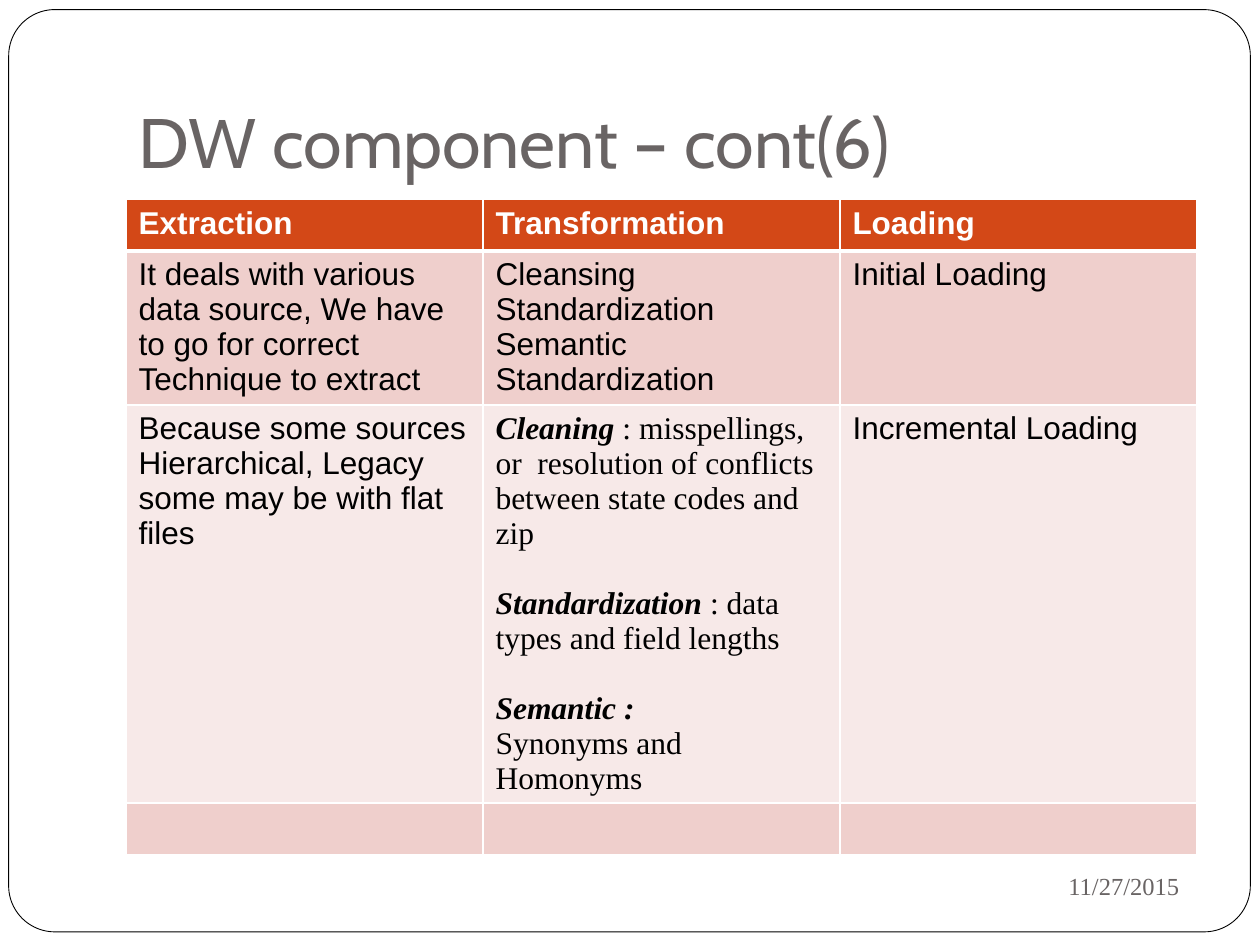
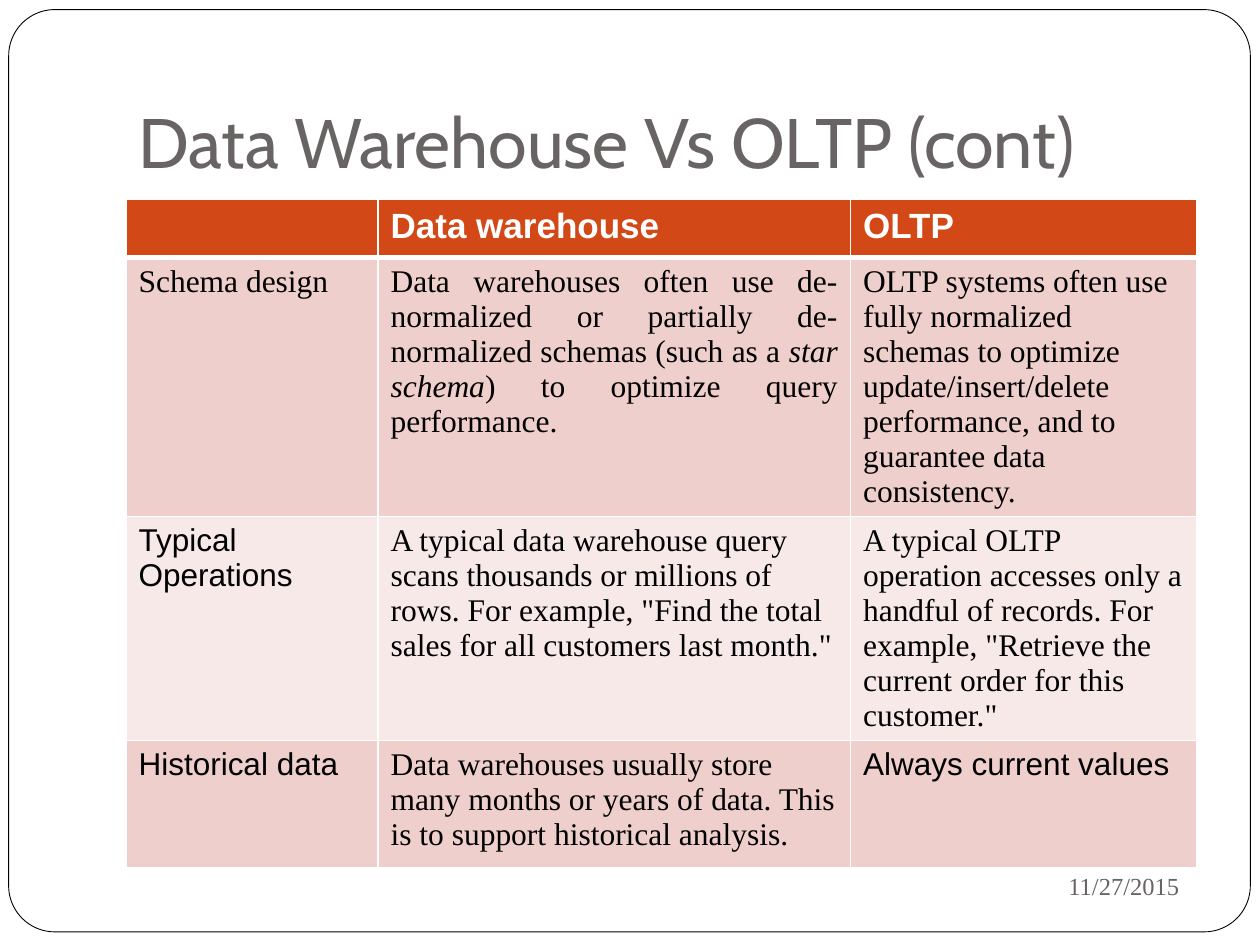
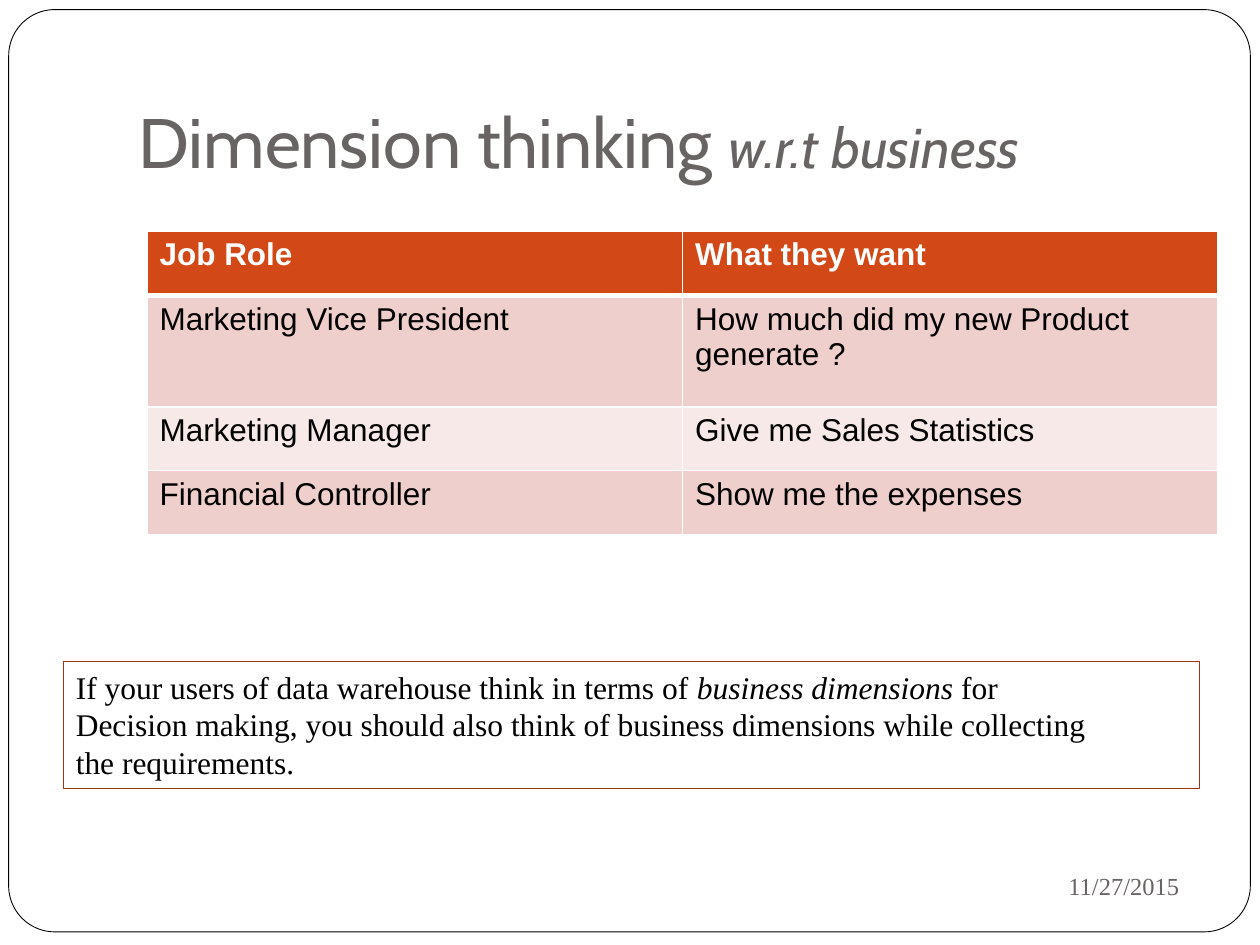
from dataclasses import dataclass

from lxml.etree import SubElement
from pptx import Presentation
from pptx.dml.color import RGBColor
from pptx.enum.shapes import MSO_SHAPE
from pptx.enum.text import MSO_ANCHOR, MSO_AUTO_SIZE, PP_ALIGN
from pptx.oxml.ns import qn
from pptx.util import Pt

SANS, SERIF, TITLE_FONT = "Arial", "Times New Roman", "Cabin"
BLACK, WHITE, GREY = "000000", "FFFFFF", "696464"
ORANGE, BROWN = "D34817", "9E3611"
BANDS = ["EFCFCC", "F7E9E8"]
LINE_HEIGHT = 20

FRAME_BOX = (5, 5.5, 709.5, 527)
TITLE_BOX = (72, 21.6, 612, 90)
DATE_BOX = (486, 487.5, 195, 37.5)


@dataclass
class Run:
    """A piece of text with its emphasis and, if it differs, its size."""
    text: str
    bold: bool = False
    italic: bool = False
    size: float = 0


@dataclass
class Cell:
    """A table cell: paragraphs of runs, font, alignment and spaced paragraphs."""
    paras: list
    font: str = SANS
    align: PP_ALIGN = PP_ALIGN.LEFT
    spaced: tuple = ()


def rgb(value):
    """Turn a hex string into a colour."""
    return RGBColor.from_string(value)


def points(box):
    """Turn a box of numbers into lengths."""
    return [Pt(v) for v in box]


def write(tf, paras, font, size, color, align=PP_ALIGN.LEFT, bold=False):
    """Fill a text frame; a paragraph is a string or a list of runs."""
    for i, para in enumerate(paras):
        p = tf.add_paragraph() if i else tf.paragraphs[0]
        p.alignment = align
        for part in [Run(para, bold)] if isinstance(para, str) else para:
            r = p.add_run()
            r.text = part.text
            r.font.name = font
            r.font.size = Pt(part.size or size)
            r.font.bold = part.bold
            r.font.italic = part.italic
            r.font.color.rgb = rgb(color)


def add_frame(prs, s):
    """Put the rounded page frame at the back of the master."""
    sp = s.shapes.add_shape(MSO_SHAPE.ROUNDED_RECTANGLE, *points(FRAME_BOX))
    sp.adjustments[0] = 0.05
    sp.shadow.inherit = False
    sp.fill.solid()
    sp.fill.fore_color.rgb = rgb(WHITE)
    sp.line.color.rgb = rgb(BLACK)
    sp.line.width = Pt(0.5)
    prs.slide_master.shapes._spTree.insert(2, sp._element)


def add_title(s, runs):
    """Place and format the title placeholder."""
    sp = s.shapes.title
    sp.left, sp.top, sp.width, sp.height = points(TITLE_BOX)
    tf = sp.text_frame
    tf.auto_size = MSO_AUTO_SIZE.NONE
    tf.vertical_anchor = MSO_ANCHOR.BOTTOM
    tf.margin_bottom = Pt(7.2)
    write(tf, [runs], TITLE_FONT, 40, GREY)


def add_date(s):
    """Write the date at the bottom right."""
    tf = s.shapes.add_textbox(*points(DATE_BOX)).text_frame
    tf.word_wrap = True
    tf.vertical_anchor = MSO_ANCHOR.MIDDLE
    write(tf, ["11/27/2015"], SERIF, 14, GREY, PP_ALIGN.RIGHT)


def set_borders(cell, bottom):
    """Draw white borders around a cell."""
    tc_pr = cell._tc.get_or_add_tcPr()
    for side, width in (("L", 1), ("R", 1), ("T", 1), ("B", bottom)):
        ln = SubElement(tc_pr, qn(f"a:ln{side}"), w=str(Pt(width)))
        fill = SubElement(ln, qn("a:solidFill"))
        SubElement(fill, qn("a:srgbClr"), val=WHITE)


def fill_cell(cell, content, is_header, color, size, margin):
    """Format one cell and write its content."""
    set_borders(cell, 3 if is_header else 1)
    cell.fill.solid()
    cell.fill.fore_color.rgb = rgb(color)
    cell.margin_top = cell.margin_bottom = Pt(margin)
    if isinstance(content, str):
        content = Cell([content] if content else [])
    tf = cell.text_frame
    write(tf, content.paras, content.font, size,
          WHITE if is_header else BLACK, content.align, is_header)
    if not is_header:
        for p in tf.paragraphs:
            p.line_spacing = Pt(LINE_HEIGHT)
    for i in content.spaced:
        tf.paragraphs[i].space_before = Pt(LINE_HEIGHT)


def add_grid(s, left, top, widths, heights, rows, header_size=18, margin=3.6):
    """Build a table with an orange header and banded rows."""
    table = s.shapes.add_table(len(rows), len(widths), Pt(left), Pt(top),
                               Pt(sum(widths)), Pt(sum(heights))).table
    for column, width in zip(table.columns, widths):
        column.width = Pt(width)
    for i, (row, height) in enumerate(zip(rows, heights)):
        table.rows[i].height = Pt(height)
        color = BANDS[(i - 1) % 2] if i else ORANGE
        for j, content in enumerate(row):
            fill_cell(table.cell(i, j), content, i == 0, color,
                      18 if i else header_size, margin)


def add_note(s, box, paras):
    """Write justified text in an outlined box."""
    sp = s.shapes.add_textbox(*points(box))
    sp.line.color.rgb = rgb(BROWN)
    sp.line.width = Pt(0.75)
    sp.text_frame.word_wrap = True
    write(sp.text_frame, paras, SERIF, 18, BLACK, PP_ALIGN.JUSTIFY)


def new_slide(prs, title_runs):
    """Add a slide with its title."""
    s = prs.slides.add_slide(prs.slide_layouts[5])
    add_title(s, title_runs)
    return s


def component_slide(prs):
    """Compare extraction, transformation and loading."""
    s = new_slide(prs, [Run("DW component – cont(6)")])
    cleaning = Cell([
        [Run("Cleaning", True, True),
         Run(" : misspellings, or  resolution of conflicts between state codes and zip")],
        [Run("Standardization ", True, True), Run(": data types and field lengths")],
        [Run("Semantic :", True, True)],
        "Synonyms and Homonyms",
    ], SERIF, spaced=(1, 2))
    add_grid(s, 72, 114, [204] * 3, [29.5, 88, 226, 29.5], [
        ["Extraction", "Transformation", "Loading"],
        ["It deals with various data source, We have to go for correct Technique to extract",
         Cell(["Cleansing", "Standardization", "Semantic Standardization"]),
         "Initial Loading"],
        [Cell(["Because some sources",
               "Hierarchical, Legacy some may be with flat files"]),
         cleaning, "Incremental Loading"],
        ["", "", ""],
    ])


def oltp_slide(prs):
    """Compare a data warehouse with OLTP."""
    s = new_slide(prs, [Run("Data Warehouse Vs OLTP (cont)")])
    schema = [Run("Data warehouses often use de- normalized or partially "
                  "de-normalized schemas (such as a "),
              Run("star schema", italic=True),
              Run(") to optimize query performance.")]
    add_grid(s, 72, 114, [144, 270, 198], [33, 147.5, 127.5, 72.5], [
        ["", "Data warehouse", "OLTP"],
        [Cell(["Schema design"], SERIF),
         Cell([schema], SERIF, PP_ALIGN.JUSTIFY),
         Cell(["OLTP systems often use fully normalized schemas to optimize "
               "update/insert/delete performance, and to guarantee data "
               "consistency."], SERIF)],
        ["Typical Operations",
         Cell(["A typical data warehouse query scans thousands or millions of rows. "
               'For example, "Find the total sales for all customers last month."'],
              SERIF),
         Cell(["A typical OLTP operation accesses only a handful of records. "
               'For example, "Retrieve the current order for this customer."'],
              SERIF)],
        ["Historical data",
         Cell(["Data warehouses usually store many months or years of data. "
               "This is to support historical analysis."], SERIF),
         "Always current values"],
    ], header_size=20, margin=4)


def dimension_slide(prs):
    """Show what each job role wants, with a closing note."""
    s = new_slide(prs, [Run("Dimension thinking "),
                        Run("w.r.t business", italic=True, size=32)])
    add_grid(s, 84, 132, [306] * 2, [37, 63.5, 36.5, 36.5], [
        ["Job Role", "What they want"],
        ["Marketing Vice President", "How much did my new Product generate ?"],
        ["Marketing Manager", "Give me Sales Statistics"],
        ["Financial Controller", "Show me the expenses"],
    ])
    add_note(s, (36.25, 378, 649.25, 72.5), [
        [Run("If your users of data warehouse think in terms of "),
         Run("business dimensions ", italic=True), Run("for ")],
        "Decision making, you should also think of business dimensions while collecting ",
        "the requirements. ",
    ])


def main():
    """Build the presentation."""
    prs = Presentation()
    prs.slide_width, prs.slide_height = Pt(720), Pt(540)
    component_slide(prs)
    oltp_slide(prs)
    dimension_slide(prs)
    add_frame(prs, prs.slides[0])
    for s in prs.slides:
        add_date(s)
    prs.save("out.pptx")


if __name__ == "__main__":
    main()
